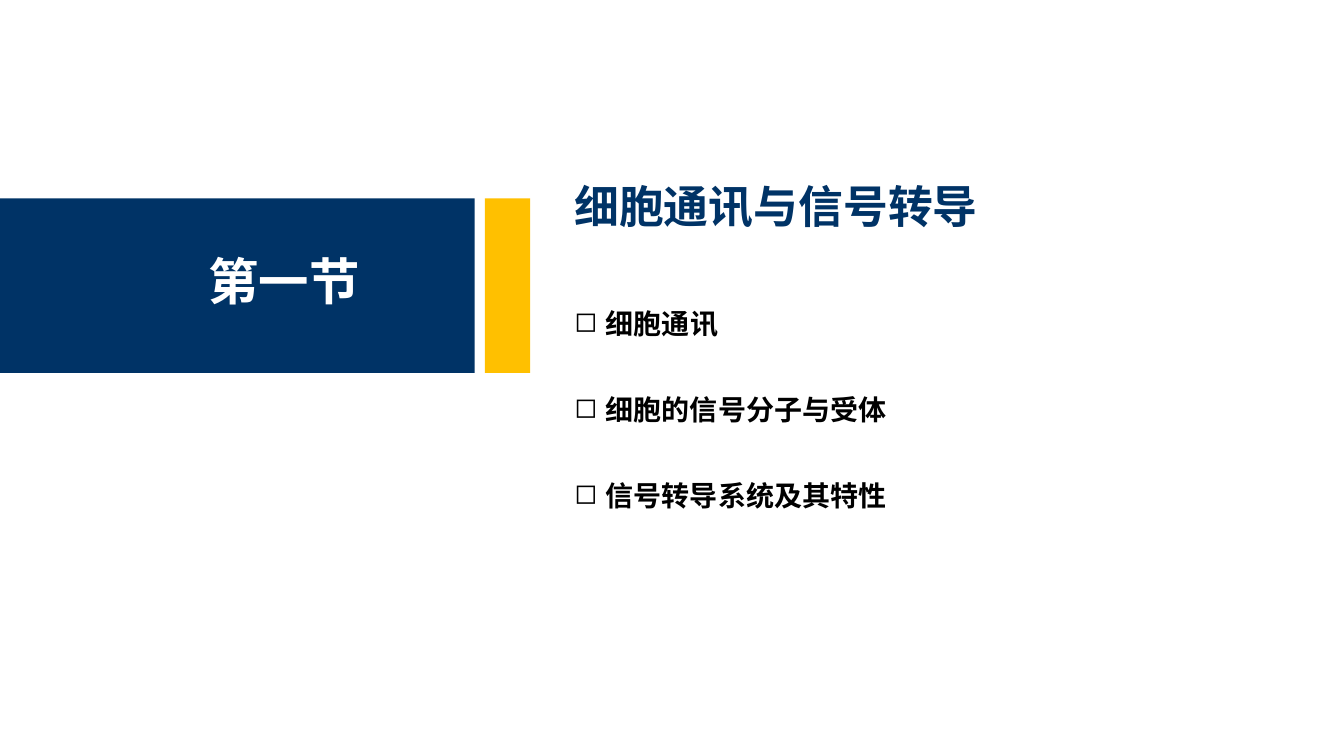
from lxml import etree
from pptx import Presentation
from pptx.dml.color import RGBColor
from pptx.enum import shapes, text
from pptx.oxml import ns
from pptx.util import Pt

NAVY = RGBColor(0x00, 0x33, 0x66)
GOLD = RGBColor(0xFF, 0xC0, 0x00)
WHITE = RGBColor(0xFF, 0xFF, 0xFF)
BLACK = RGBColor(0x00, 0x00, 0x00)
FONT = "Noto Sans CJK SC"
TOPICS = ["细胞通讯", "细胞的信号分子与受体", "信号转导系统及其特性"]


def add_block(page, left, top, width, height, color):
    block = page.shapes.add_shape(
        shapes.MSO_SHAPE.RECTANGLE, Pt(left), Pt(top), Pt(width), Pt(height))
    block.shadow.inherit = False
    block.fill.solid()
    block.fill.fore_color.rgb = color
    block.line.fill.background()


def add_label(page, left, top, width, height, wording, size, color, wrap=False):
    """Add one bold line of text and return its paragraph."""
    box = page.shapes.add_textbox(Pt(left), Pt(top), Pt(width), Pt(height))
    frame = box.text_frame
    frame.text = wording
    frame.word_wrap = wrap
    frame.auto_size = text.MSO_AUTO_SIZE.SHAPE_TO_FIT_TEXT
    frame.vertical_anchor = text.MSO_ANCHOR.MIDDLE
    para = frame.paragraphs[0]
    span = para.runs[0]
    span.font.name = FONT
    span.font.size = Pt(size)
    span.font.bold = True
    span.font.color.rgb = color
    east_asian = etree.SubElement(span.font._element, ns.qn("a:ea"))
    east_asian.set("typeface", FONT)
    return para


def add_bullet(para, indent):
    properties = para._p.get_or_add_pPr()
    properties.set("marL", str(Pt(indent)))
    properties.set("indent", str(-Pt(indent)))
    bullet = etree.SubElement(properties, ns.qn("a:buChar"))
    bullet.set("char", "◻")


def add_banner(page, left, top, width, height):
    """Navy section banner with a gold bar closing its right end."""
    bar_width, gap = 32.4, 7.2
    navy_width = width - bar_width - gap
    add_block(page, left, top, navy_width, height, NAVY)
    add_block(page, left + width - bar_width, top, bar_width, height, GOLD)
    add_label(page, left + 141.8, top + 33, 123.8, 51, "第一节", 36, WHITE)


def add_contents(page, left, top, width):
    """Section title above its evenly spaced topics."""
    add_label(page, left, top, width, 46, "细胞通讯与信号转导", 32, NAVY, wrap=True)
    for index, topic in enumerate(TOPICS):
        topic_width = 38 + 20 * len(topic)
        para = add_label(page, left, top + 91.4 + 61.5 * index,
                         topic_width, 31.7, topic, 20, BLACK)
        add_bullet(para, 22.5)


def main():
    deck = Presentation()
    deck.slide_width, deck.slide_height = Pt(960), Pt(540)
    page = deck.slides.add_slide(deck.slide_layouts[6])
    add_banner(page, 0, 141.8, 378.7, 124.6)
    add_contents(page, 403.2, 123.8, 403.2)
    deck.save("out.pptx")


if __name__ == "__main__":
    main()
